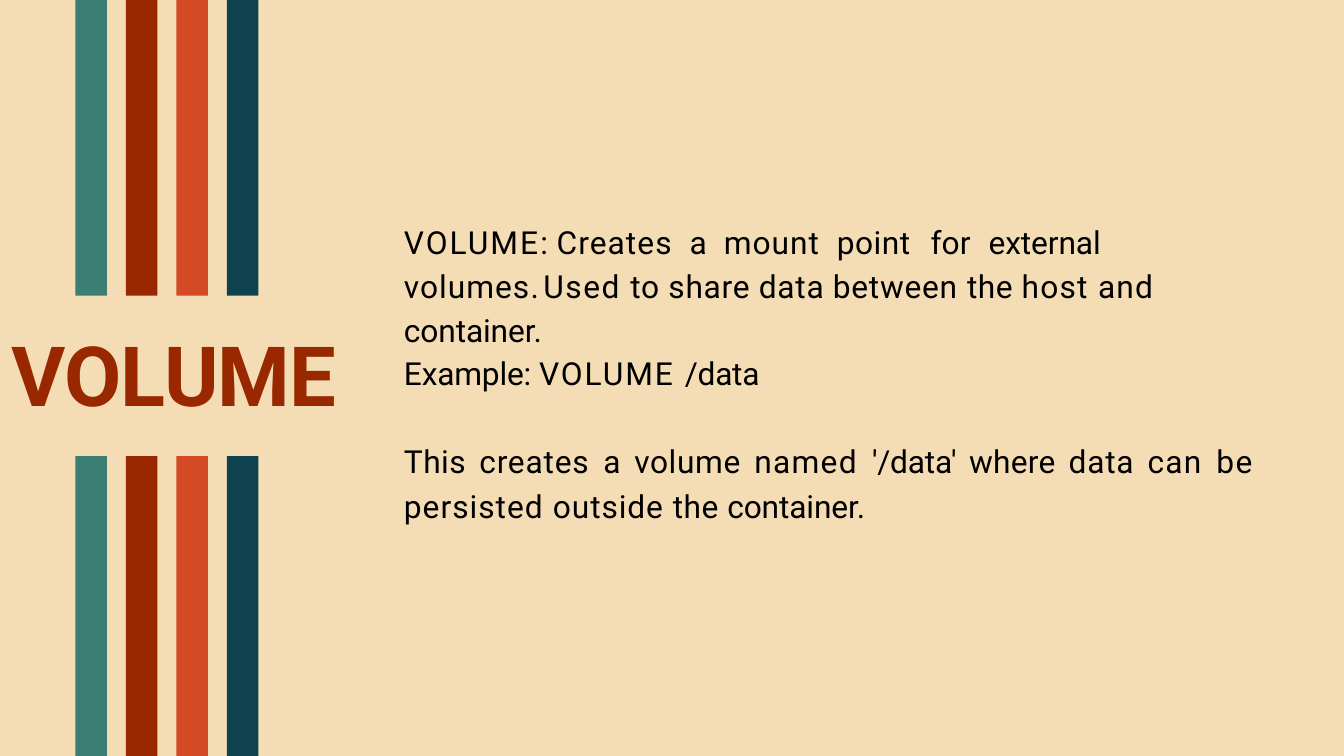
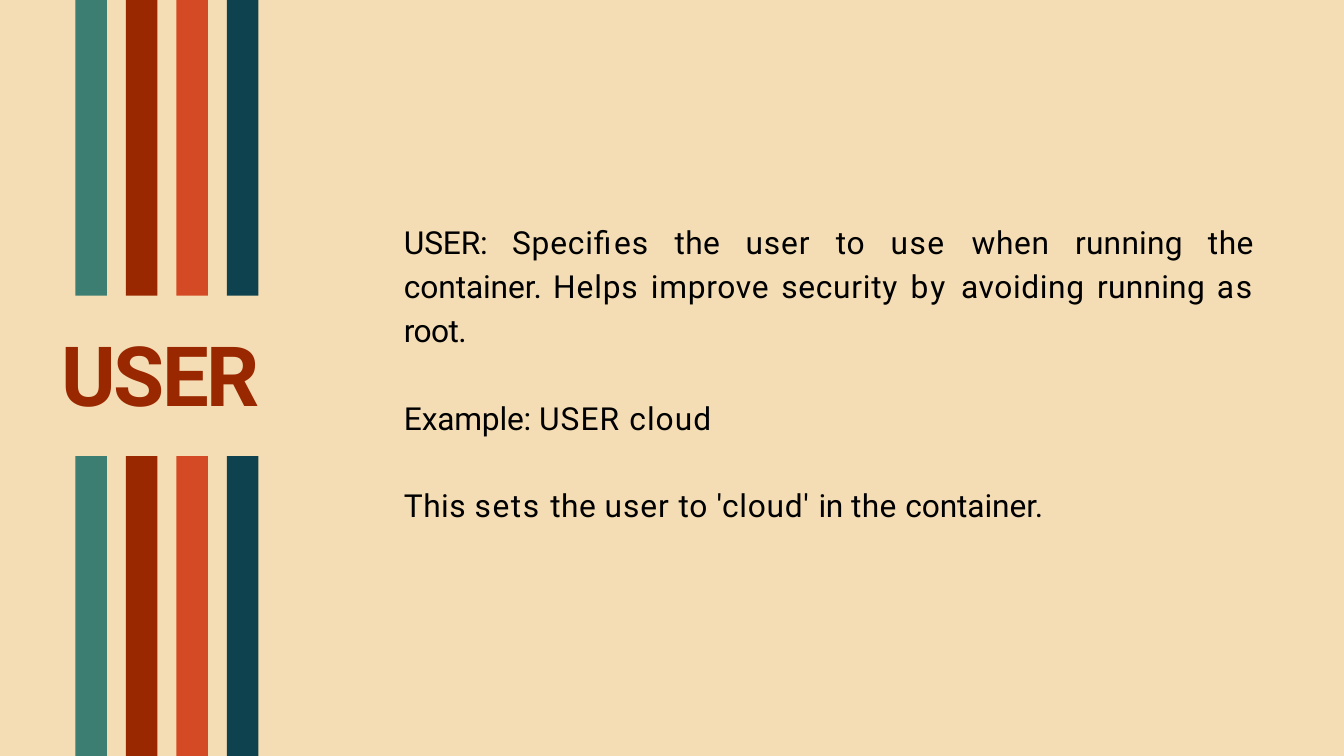
from dataclasses import dataclass

from lxml.etree import SubElement
from pptx import Presentation
from pptx.dml.color import RGBColor
from pptx.enum.shapes import MSO_SHAPE
from pptx.enum.text import MSO_ANCHOR, MSO_AUTO_SIZE, PP_ALIGN
from pptx.oxml.ns import qn
from pptx.util import Cm, Pt


@dataclass(frozen=True)
class Theme:
    font: str = "Roboto"
    paper: str = "F4DDB4"
    ink: str = "000000"
    accent: str = "992800"
    stripes: tuple = ("3C7E72", "992800", "D34A24", "0F424F")
    heading_size: float = 89
    body_size: float = 34
    body_leading: float = 1.16


SLIDE_WIDTH, SLIDE_HEIGHT = 50.8, 28.58
STRIPE_LEFT, STRIPE_WIDTH, STRIPE_PITCH = 2.85, 1.19, 1.91
STRIPE_SPANS = ((0, 11.18), (17.24, SLIDE_HEIGHT))
HEADING_TOP, HEADING_HEIGHT = 12.19, 3.84
BODY_LEFT, BODY_WIDTH = 15.24, 32.16
LINE_HEIGHT = 1.52


def write_text(shape, pieces, *, size, color, font, bold=False,
               align=PP_ALIGN.LEFT, leading=None, before=1, tabs=()):
    """Fill a shape with (words, letter spacing in points) pieces; "\\n" breaks the line."""
    frame = shape.text_frame
    frame.word_wrap = True
    frame.auto_size = MSO_AUTO_SIZE.SHAPE_TO_FIT_TEXT
    frame.vertical_anchor = MSO_ANCHOR.TOP
    frame.margin_left = frame.margin_top = Cm(0.03)
    frame.margin_right = frame.margin_bottom = Cm(0)
    paragraph = frame.paragraphs[0]
    paragraph.alignment = align
    paragraph.space_before = Pt(before)
    if leading:
        paragraph.line_spacing = leading
    if tabs:
        tab_list = SubElement(paragraph._p.get_or_add_pPr(), qn("a:tabLst"))
        for stop in tabs:
            SubElement(tab_list, qn("a:tab"), pos=str(Cm(stop)), algn="l")
    for words, spacing in pieces:
        if words == "\n":
            paragraph.add_line_break()
            continue
        run = paragraph.add_run()
        run.text = words
        run.font.name = font
        run.font.size = Pt(size)
        run.font.bold = bold
        run.font.color.rgb = RGBColor.from_string(color)
        run._r.get_or_add_rPr().set("spc", str(round(spacing * 100)))


class Deck:
    def __init__(self, theme):
        self.theme = theme
        self.presentation = Presentation()
        self.presentation.slide_width = Cm(SLIDE_WIDTH)
        self.presentation.slide_height = Cm(SLIDE_HEIGHT)
        paper = self.presentation.slide_master.background.fill
        paper.solid()
        paper.fore_color.rgb = RGBColor.from_string(theme.paper)
        self.slide = None

    def new_slide(self):
        layout = self.presentation.slide_layouts[5]
        self.slide = self.presentation.slides.add_slide(layout)
        self.stripes()

    def stripes(self):
        for top, bottom in STRIPE_SPANS:
            for column, color in enumerate(self.theme.stripes):
                stripe = self.slide.shapes.add_shape(
                    MSO_SHAPE.RECTANGLE,
                    Cm(STRIPE_LEFT + column * STRIPE_PITCH), Cm(top),
                    Cm(STRIPE_WIDTH), Cm(bottom - top))
                stripe.shadow.inherit = False
                stripe.fill.solid()
                stripe.fill.fore_color.rgb = RGBColor.from_string(color)
                stripe.line.fill.background()

    def heading(self, word, left, width, spacing):
        title = self.slide.shapes.title
        title.left, title.top = Cm(left), Cm(HEADING_TOP)
        title.width, title.height = Cm(width), Cm(HEADING_HEIGHT)
        write_text(title, [(word, spacing)], size=self.theme.heading_size,
                   color=self.theme.accent, font=self.theme.font, bold=True)

    def body(self, pieces, top, lines=1, **text_format):
        box = self.slide.shapes.add_textbox(
            Cm(BODY_LEFT), Cm(top), Cm(BODY_WIDTH), Cm(lines * LINE_HEIGHT))
        leading = self.theme.body_leading if lines > 1 else None
        write_text(box, pieces, size=self.theme.body_size, color=self.theme.ink,
                   font=self.theme.font, leading=leading, **text_format)


def volume_slide(deck):
    deck.new_slide()
    deck.heading("VOLUME", 0.41, 13.13, -1)
    deck.body([
        ("VOLUME", 2.15), (":\t", -5.8), ("Creates\t", 1.2), ("a\t", 0.6),
        ("mount\t", 1.1), ("point\t", 0.6), ("for\t", 0), ("external", -0.1),
        ("\n", 0), ("volumes", 1.1), (". ", -3.5), ("Used ", 1.6),
        ("to share data between ", 0.8), ("the ", 0.5), ("host ", 1.4),
        ("and ", 1.2), ("container.", -0.1),
    ], 8.15, lines=3, tabs=(5.77, 10.8, 12.09, 16.36, 19.91, 22.1))
    deck.body([("Example: ", -0.2), ("VOLUME ", 2.1), ("/data", -0.3)], 13.36)
    deck.body([
        ("This ", 0.5), ("creates ", 0.9), ("a ", 0.6), ("volume ", 0.7),
        ("named ", 1.4), ("'/data' ", -0.2), ("where ", 0.3), ("data ", 0.8),
        ("can ", 1.3), ("be ", 1.6), ("persisted ", 1.1), ("outside ", 1),
        ("the ", 0.5), ("container.", -0.1),
    ], 16.46, lines=2, align=PP_ALIGN.JUSTIFY)


def user_slide(deck):
    deck.new_slide()
    deck.heading("USER", 2.31, 8, -2.8)
    deck.body([
        ("USER: ", -0.2), ("Specifies ", 0.9), ("the ", 0.5), ("user ", 1),
        ("to ", 0.8), ("use ", 1.6), ("when ", 0.7), ("running ", 0.3),
        ("the ", 0.5), ("container. ", -0.1), ("Helps ", 0.9),
        ("improve security ", 0.8), ("by ", 2.3), ("avoiding ", 0.7),
        ("running ", 0.3), ("as ", 1.9), ("root.", -0.7),
    ], 8.15, lines=3, align=PP_ALIGN.JUSTIFY)
    deck.body([("Example: ", -0.2), ("USER ", 1.2), ("cloud", 1.1)], 15.04)
    deck.body([
        ("This ", 0.5), ("sets ", 1.7), ("the ", 0.5), ("user ", 1),
        ("to 'cloud' ", 0.8), ("in ", -0.3), ("the ", 0.5), ("container.", -0.1),
    ], 18.34)


def main():
    deck = Deck(Theme())
    volume_slide(deck)
    user_slide(deck)
    deck.presentation.save("out.pptx")


if __name__ == "__main__":
    main()
